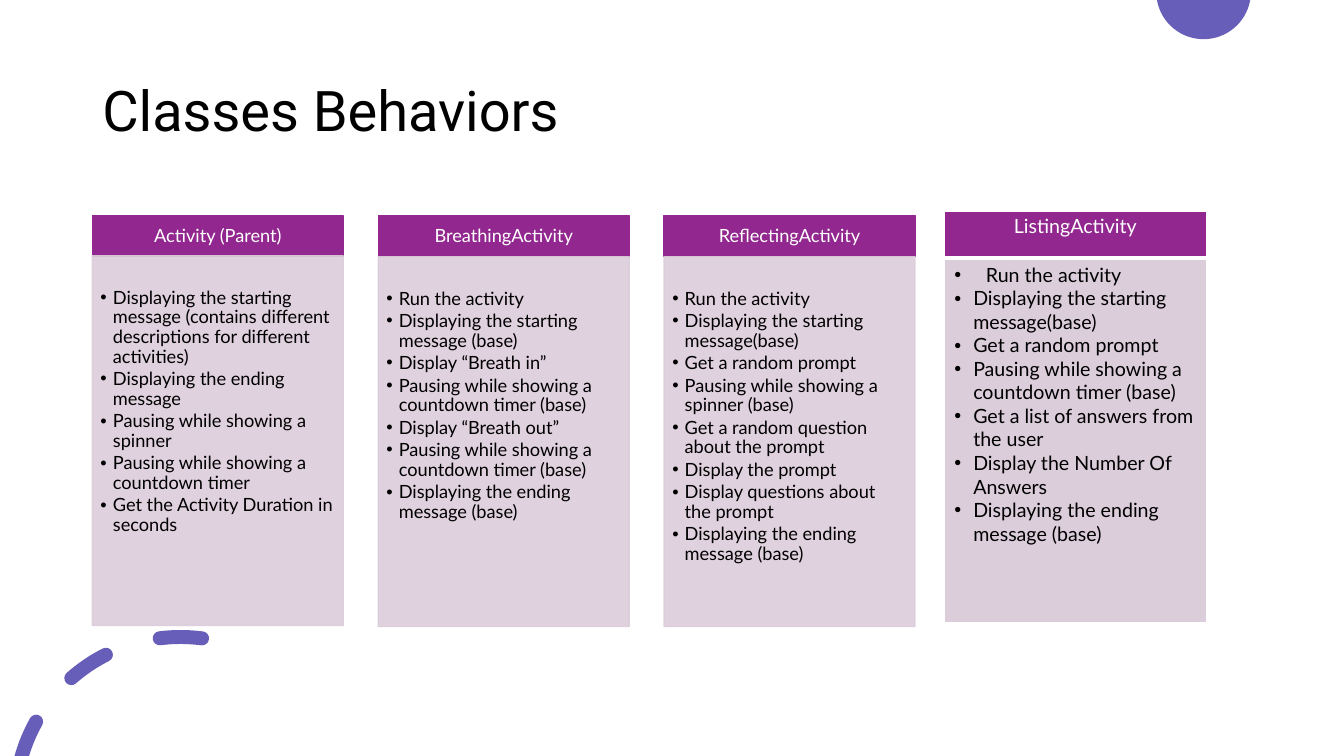
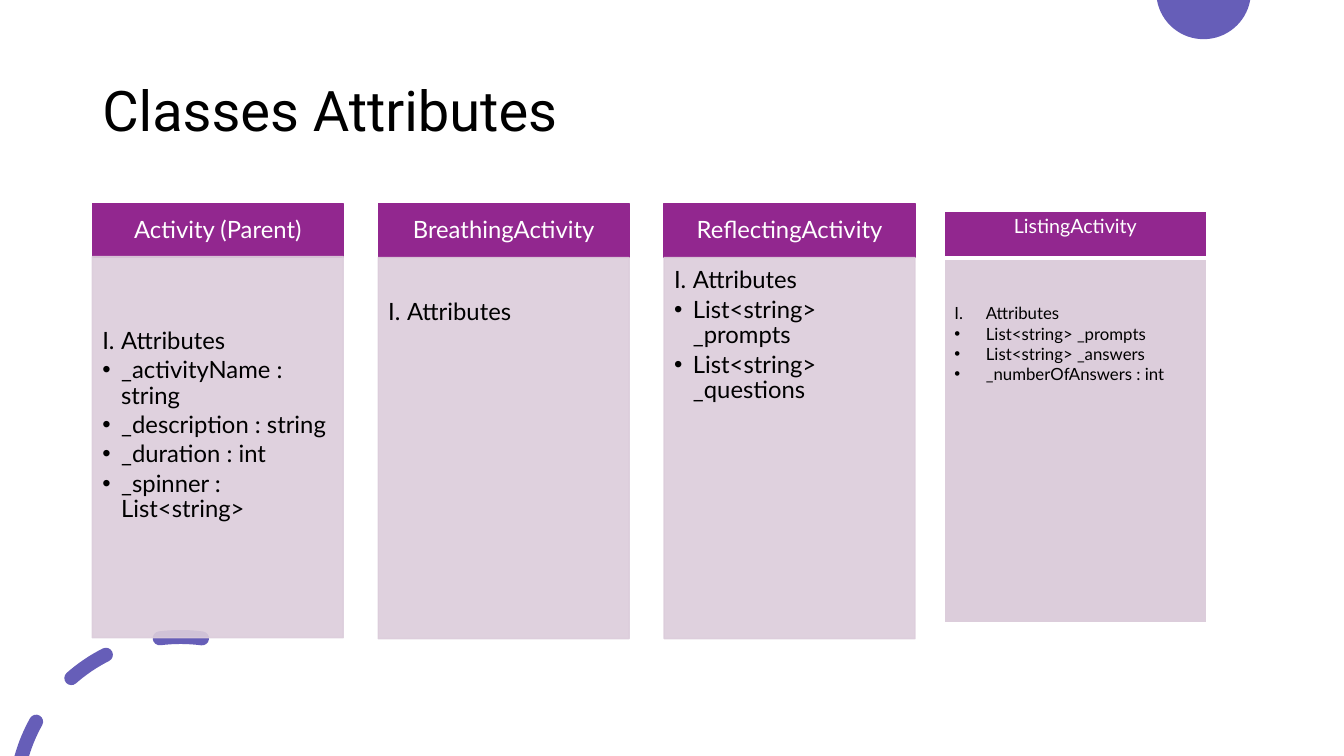
from math import asin, cos, degrees, radians, sin, tan

from lxml import etree
from pptx import Presentation
from pptx.dml.color import RGBColor
from pptx.enum.shapes import MSO_SHAPE
from pptx.enum.text import MSO_ANCHOR, PP_ALIGN
from pptx.oxml.ns import qn
from pptx.util import Pt

RECTANGLE = MSO_SHAPE.RECTANGLE
TOP, MIDDLE = MSO_ANCHOR.TOP, MSO_ANCHOR.MIDDLE
LEFT, CENTER = PP_ALIGN.LEFT, PP_ALIGN.CENTER

# Content: three cards (heading, empty lines above the list, items) and one table
NUMBERED = "Attributes"  # this item takes a roman numeral, the others a dot
SLIDES = [
    {
        "title": "Classes Behaviors",
        "cards": [
            ("Activity (Parent)", 1, [
                "Displaying the starting message (contains different descriptions "
                "for different activities)",
                "Displaying the ending message",
                "Pausing while showing a spinner",
                "Pausing while showing a countdown timer",
                "Get the Activity Duration in seconds",
            ]),
            ("BreathingActivity", 1, [
                "Run the activity",
                "Displaying the starting message (base)",
                "Display “Breath in”",
                "Pausing while showing a countdown timer (base)",
                "Display “Breath out”",
                "Pausing while showing a countdown timer (base)",
                "Displaying the ending message (base)",
            ]),
            ("ReflectingActivity", 1, [
                "Run the activity",
                "Displaying the starting message(base)",
                "Get a random prompt",
                "Pausing while showing a spinner (base)",
                "Get a random question about the prompt",
                "Display the prompt",
                "Display questions about the prompt",
                "Displaying the ending message (base)",
            ]),
        ],
        "card_style": {"size": 13, "indent": 8.9, "head_top": 154, "head_height": 29.4,
                       "body_height": 264.2, "insets": (5.8, 5.8, 7.2, 7.9)},
        "table": ("ListingActivity", 0, [
            "Run the activity",
            "Displaying the starting message(base)",
            "Get a random prompt",
            "Pausing while showing a countdown timer (base)",
            "Get a list of answers from the user",
            "Display the Number Of Answers",
            "Displaying the ending message (base)",
        ]),
        "table_style": {"size": 14, "first_indent": 22.5, "indent": 13.5},
    },
    {
        "title": "Classes Attributes",
        "cards": [
            ("Activity (Parent)", 2, [
                NUMBERED,
                "_activityName : string",
                "_description : string",
                "_duration : int",
                "_spinner : List<string>",
            ]),
            ("BreathingActivity", 1, [NUMBERED]),
            ("ReflectingActivity", 0, [
                NUMBERED,
                "List<string> _prompts",
                "List<string> _questions",
            ]),
        ],
        "card_style": {"size": 17, "indent": 13.5, "head_top": 145.2, "head_height": 38.8,
                       "body_height": 272.2, "insets": (7.2, 7.6, 9.4, 10.8)},
        "table": ("ListingActivity", 2, [
            NUMBERED,
            "List<string> _prompts",
            "List<string> _answers",
            "_numberOfAnswers : int",
        ]),
        "table_style": {"size": 12, "first_indent": 22.5, "indent": 22.5},
    },
]

# Shared look, all lengths in points
COLORS = {"accent": "665EB8", "head": "92278F", "body": "DCCDDB",
          "text": "000000", "light": "FFFFFF"}
TITLE_FONT, BODY_FONT, BULLET_FONT = "Roboto", "Lato", "Arial"
SLIDE_WIDTH, SLIDE_HEIGHT = 960, 540
TITLE_BOX = (66, 28.8, 828, 104.4)
CARD_LEFT, CARD_WIDTH, CARD_STEP = 66, 179.2, 204.2
FIRST_BODY_LIFT = 0.7
TABLE_BOX = (674.5, 151.2, 187.2, 293.2)
TABLE_ROWS = (33, 260.2)
TABLE_HEAD_SIZE = 14
CELL_INSET = 3.6
LINE_HEIGHT, TIGHT = 1.2, 0.9
ITEM_GAP = 0.15  # share of the text size
DISC = {"center": (859.7, -5.8), "radius": 33.8, "span": (10, 170)}
RING = {"center": (128.9, 573.1), "radius": 118.1, "half_width": 5,
        "cut_dash_end": 209.2, "dashes": [(228.7, 243.2), (262.8, 277.5)]}


def rgb(name):
    return RGBColor.from_string(COLORS[name])


def set_all(target, values):
    for name, value in values.items():
        setattr(target, name, value)


def write(para, text, size, font=BODY_FONT, color="text", align=LEFT,
          spacing=1.0, after=0):
    set_all(para, {"alignment": align, "line_spacing": spacing, "space_after": Pt(after)})
    span = para.add_run()
    span.text = text
    set_all(span.font, {"name": font, "size": Pt(size), "bold": False})
    span.font.color.rgb = rgb(color)


def add_bullet(para, indent, numbered):
    props = para._p.get_or_add_pPr()
    props.set("marL", str(Pt(indent)))
    props.set("indent", str(-Pt(indent)))
    if numbered:
        etree.SubElement(props, qn("a:buAutoNum"), type="romanUcPeriod")
    else:
        etree.SubElement(props, qn("a:buFont"), typeface=BULLET_FONT)
        etree.SubElement(props, qn("a:buChar"), char="•")


def write_list(frame, items, size, indent, first_indent=None, **style):
    for index, item in enumerate(items):
        para = frame.add_paragraph() if index else frame.paragraphs[0]
        write(para, item, size, **style)
        add_bullet(para, indent if index or first_indent is None else first_indent,
                   item == NUMBERED)


def set_frame(frame, anchor, insets):
    sides = ("margin_left", "margin_top", "margin_right", "margin_bottom")
    set_all(frame, {"word_wrap": True, "vertical_anchor": anchor})
    set_all(frame, {side: Pt(inset) for side, inset in zip(sides, insets)})


# Decoration: a cut disc at the top and a dashed ring in the lower corner
def on_circle(center, radius, angle):
    turn = radians(angle)
    return center[0] + radius * cos(turn), center[1] + radius * sin(turn)


def arc(center, radius, start, end):
    """Start with a line to the arc, then follow it with two cubic curves."""
    step = (end - start) / 2
    pull = 4 / 3 * tan(radians(step) / 4) * radius
    segments = [[on_circle(center, radius, start)]]
    for first in (start, start + step):
        (x1, y1), (x2, y2) = (on_circle(center, radius, a) for a in (first, first + step))
        (dx1, dy1), (dx2, dy2) = (on_circle((0, 0), pull, a + 90)
                                  for a in (first, first + step))
        segments.append([(x1 + dx1, y1 + dy1), (x2 - dx2, y2 - dy2), (x2, y2)])
    return segments


def dash_outline(start, end):
    center, radius, half = RING["center"], RING["radius"], RING["half_width"]
    outer, inner = radius + half, radius - half
    end_cap = arc(on_circle(center, radius, end), half, end, end + 180)[1:]
    if start is None:  # cut off by the lower edge of the slide
        depth = center[1] - SLIDE_HEIGHT
        outer_start, inner_start = (180 + degrees(asin(depth / r)) for r in (outer, inner))
        start_cap = []
    else:
        outer_start = inner_start = start
        start_cap = arc(on_circle(center, radius, start), half, start + 180, start + 360)[1:]
    return (arc(center, outer, outer_start, end) + end_cap
            + arc(center, inner, end, inner_start)[1:] + start_cap)


def add_outlines(page, outlines):
    builder, drawn = None, []
    for (start, *_), *segments in outlines:
        corner = Pt(start[0]), Pt(start[1])
        if builder is None:
            builder = page.shapes.build_freeform(*corner, scale=1.0)
        else:
            builder.move_to(*corner)
        builder.add_line_segments([(Pt(s[-1][0]), Pt(s[-1][1])) for s in segments], close=True)
        drawn += segments
    shape = builder.convert_to_shape()
    # Turn the straight segments into curves
    for node, segment in zip(list(shape._element.iter(qn("a:lnTo"))), drawn):
        if len(segment) == 3:
            node.tag = qn("a:cubicBezTo")
            for place, (x, y) in enumerate(segment[:2]):
                point = etree.Element(qn("a:pt"), x=str(Pt(x) - shape.left),
                                      y=str(Pt(y) - shape.top))
                node.insert(place, point)
    shape.shadow.inherit = False
    shape.fill.solid()
    shape.fill.fore_color.rgb = rgb("accent")
    shape.line.fill.background()


def add_frame(page, title):
    add_outlines(page, [arc(DISC["center"], DISC["radius"], *DISC["span"])])
    dashes = [(None, RING["cut_dash_end"]), *RING["dashes"]]
    add_outlines(page, [dash_outline(*dash) for dash in dashes])
    box = page.shapes.add_textbox(*map(Pt, TITLE_BOX))
    set_frame(box.text_frame, MIDDLE, (7.2, 3.6, 7.2, 3.6))
    write(box.text_frame.paragraphs[0], title, 40, font=TITLE_FONT, spacing=TIGHT)


# Cards
def add_panel(page, box, color, opacity=100):
    panel = page.shapes.add_shape(RECTANGLE, *map(Pt, box))
    panel.shadow.inherit = False
    panel.fill.solid()
    panel.line.width = Pt(1)
    for paint in (panel.fill.fore_color, panel.line.color):
        paint.rgb = rgb(color)
    if opacity < 100:
        for node in panel._element.spPr.iter(qn("a:srgbClr")):
            etree.SubElement(node, qn("a:alpha"), val=str(opacity * 1000))
    return panel.text_frame


def add_card(page, left, card, style, lift):
    heading, empty_lines, items = card
    size, gap = style["size"], ITEM_GAP * style["size"]
    head = add_panel(page, (left, style["head_top"], CARD_WIDTH, style["head_height"]), "head")
    set_frame(head, MIDDLE, (7.2, 5.5, 7.2, 4.3))
    write(head.paragraphs[0], heading, size, color="light", align=CENTER, spacing=TIGHT)

    body_top = style["head_top"] + style["head_height"] - lift
    body = add_panel(page, (left, body_top, CARD_WIDTH, style["body_height"]), "body", 90)
    inset_left, inset_top, *others = style["insets"]
    if empty_lines:
        line = size * LINE_HEIGHT
        inset_top += empty_lines * (line * TIGHT + gap) + line * (1 - TIGHT)
    set_frame(body, TOP, (inset_left, inset_top, *others))
    write_list(body, items, size, style["indent"], spacing=TIGHT, after=gap)


# Table
def style_cell(cell, color, borders, inset_top):
    props = cell._tc.get_or_add_tcPr()
    for side, width in zip("LRTB", borders):
        line = etree.SubElement(props, qn(f"a:ln{side}"), w=str(Pt(width)))
        paint = etree.SubElement(line, qn("a:solidFill"))
        etree.SubElement(paint, qn("a:srgbClr"), val=COLORS["light"])
    cell.fill.solid()
    cell.fill.fore_color.rgb = rgb(color)
    set_all(cell, {"margin_top": Pt(inset_top), "vertical_anchor": TOP})


def add_class_table(page, content, style):
    heading, empty_lines, items = content
    table = page.shapes.add_table(2, 1, *map(Pt, TABLE_BOX)).table
    set_all(table, {"first_row": False, "horz_banding": False})
    for row, height in zip(table.rows, TABLE_ROWS):
        row.height = Pt(height)
    head, body = table.cell(0, 0), table.cell(1, 0)
    style_cell(head, "head", (1, 1, 1, 3), CELL_INSET)
    write(head.text_frame.paragraphs[0], heading, TABLE_HEAD_SIZE, color="light",
          align=CENTER, spacing=TIGHT)
    style_cell(body, "body", (1, 1, 3, 1),
               CELL_INSET + empty_lines * style["size"] * LINE_HEIGHT)
    write_list(body.text_frame, items, **style)


def main():
    deck = Presentation()
    set_all(deck, {"slide_width": Pt(SLIDE_WIDTH), "slide_height": Pt(SLIDE_HEIGHT)})
    for content in SLIDES:
        page = deck.slides.add_slide(deck.slide_layouts[6])
        add_frame(page, content["title"])
        for index, card in enumerate(content["cards"]):
            add_card(page, CARD_LEFT + index * CARD_STEP, card, content["card_style"],
                     0 if index else FIRST_BODY_LIFT)
        add_class_table(page, content["table"], content["table_style"])
    deck.save("out.pptx")


if __name__ == "__main__":
    main()
